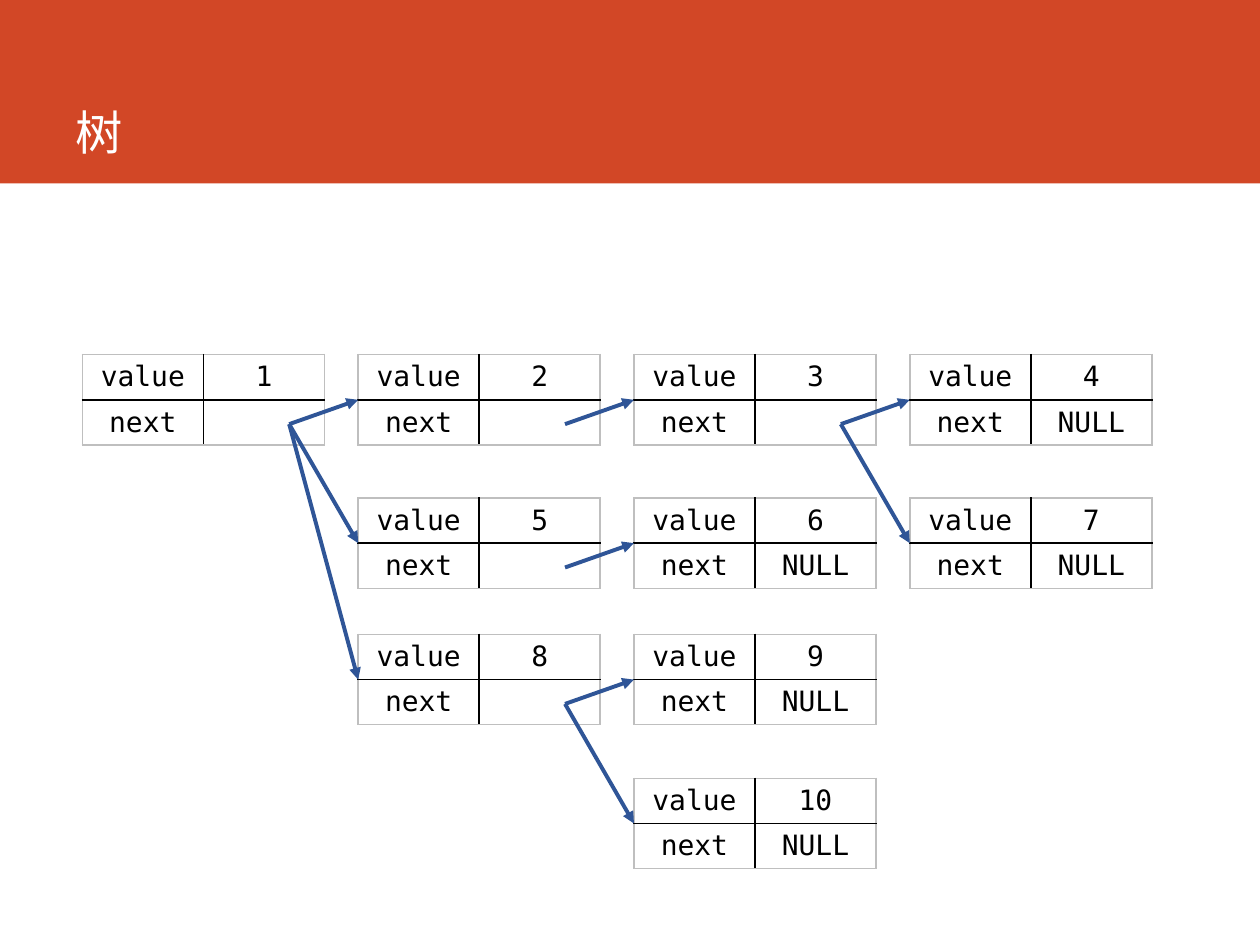
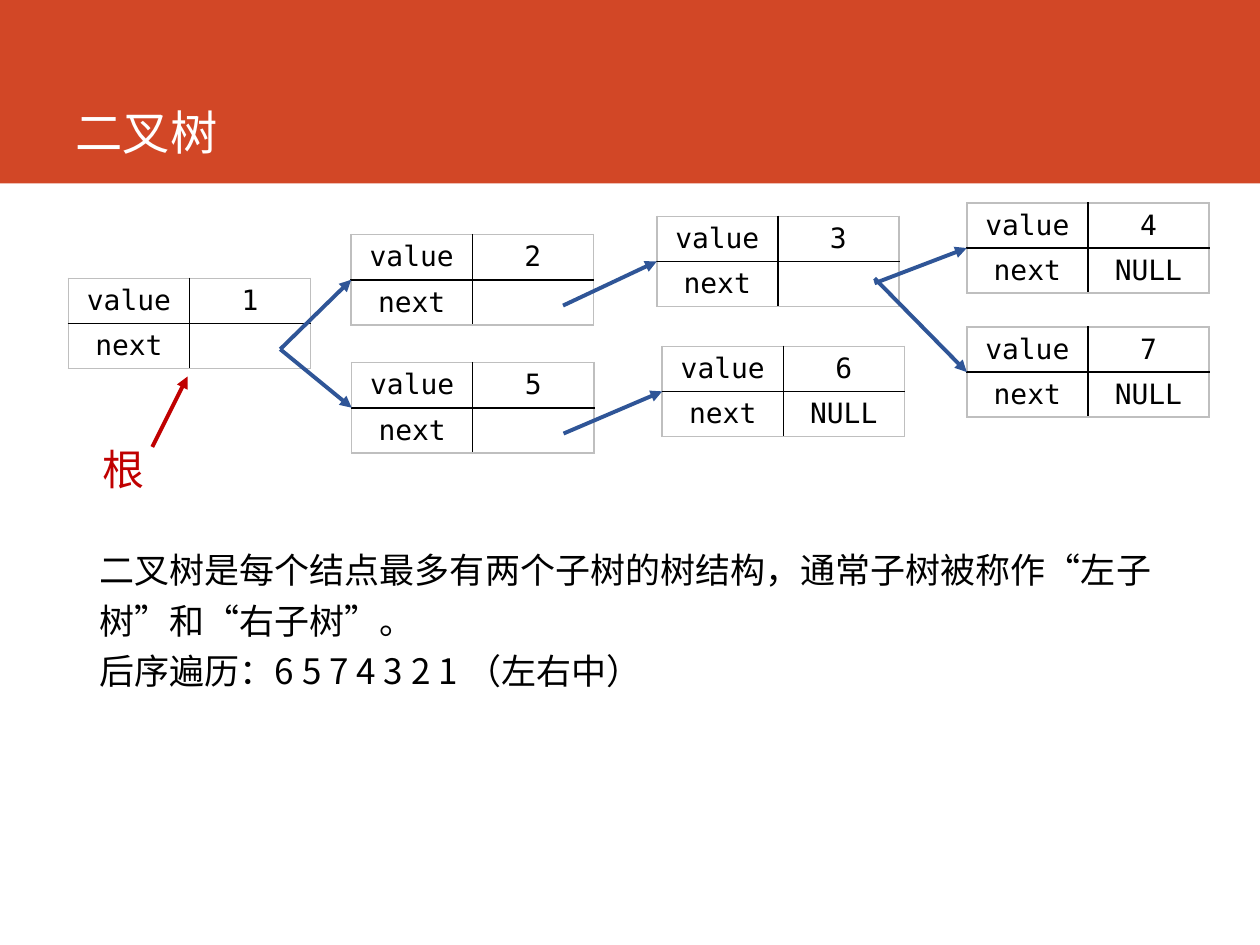
from lxml import etree
from pptx import Presentation
from pptx.dml.color import RGBColor
from pptx.enum.shapes import MSO_CONNECTOR, MSO_SHAPE
from pptx.enum.text import MSO_ANCHOR, MSO_AUTO_SIZE, PP_ALIGN
from pptx.oxml.ns import qn
from pptx.util import Cm, Pt

STRAIGHT, RECTANGLE = MSO_CONNECTOR.STRAIGHT, MSO_SHAPE.RECTANGLE
MIDDLE, BOTTOM, TOP = MSO_ANCHOR.MIDDLE, MSO_ANCHOR.BOTTOM, MSO_ANCHOR.TOP
LEFT, CENTER = PP_ALIGN.LEFT, PP_ALIGN.CENTER
NO_FIT = MSO_AUTO_SIZE.NONE

ORANGE, WHITE, BLACK = "D24726", "FFFFFF", "000000"
BLUE, RED, GREY = "2F5597", "C00000", "BFBFBF"
MONO, HAN, LABEL = "DejaVu Sans Mono", "Noto Sans CJK SC", "Karla"

PAGE_WIDTH, PAGE_HEIGHT = 25.4, 19.05
NODE_WIDTH, ROW_HEIGHT = 4.88, 0.91
COLUMN_X = [1.66 + 5.56 * column for column in range(4)]
ROW_Y = [7.15, 10.04, 12.79, 15.69]

TREE_CELLS = {
    1: (0, 0), 2: (1, 0), 3: (2, 0), 4: (3, 0), 5: (1, 1),
    6: (2, 1), 7: (3, 1), 8: (1, 2), 9: (2, 2), 10: (2, 3),
}
TREE_CHILDREN = {1: [2, 5, 8], 2: [3], 3: [4, 7], 5: [6], 8: [9, 10]}

BINARY_PLACES = {
    1: (1.38, 5.61), 2: (7.08, 4.73), 3: (13.24, 4.36), 4: (19.49, 4.09),
    5: (7.09, 7.31), 6: (13.35, 6.98), 7: (19.49, 6.59),
}
BINARY_CHILDREN = {1: [2, 5], 2: [3], 3: [4, 7], 5: [6]}
BINARY_TAILS = {(3, 4): (4.39, 1.35), (3, 7): (4.39, 1.25)}


def color(code):
    """Turn a hex string into a colour."""
    return RGBColor.from_string(code)


def style(para, size, font, code, align=LEFT):
    """Set the font and alignment of a paragraph."""
    para.alignment = align
    para.font.size = Pt(size)
    para.font.name = font
    para.font.color.rgb = color(code)


def use_han_font(shape):
    """Name the East Asian font beside each Latin one."""
    for latin in list(shape.element.iter(qn("a:latin"))):
        latin.addnext(etree.Element(qn("a:ea"), typeface=HAN))


def place(shape, left, top, width, height):
    """Move and size a shape, in centimetres."""
    shape.left, shape.top = Cm(left), Cm(top)
    shape.width, shape.height = Cm(width), Cm(height)


def add_header(page, text):
    """Draw the title band and fill the title placeholder on it."""
    band = page.shapes.add_shape(RECTANGLE, 0, 0, Cm(PAGE_WIDTH), Cm(3.7))
    band.shadow.inherit = False
    band.fill.solid()
    band.fill.fore_color.rgb = color(ORANGE)
    band.line.fill.background()
    page.shapes.element.insert(2, band.element)
    title = page.shapes.title
    place(title, 1.27, 0, 22.4, 3.35)
    frame = title.text_frame
    frame.text = text
    frame.auto_size = NO_FIT
    frame.vertical_anchor = BOTTOM
    style(frame.paragraphs[0], 27, HAN, WHITE)
    use_han_font(title)


def set_borders(frame):
    """Draw black lines inside a two by two table and grey ones around it."""
    for index, cell in enumerate(frame.element.iter(qn("a:tc"))):
        row, column = divmod(index, 2)
        inner = {"lnL": column == 1, "lnR": column == 0,
                 "lnT": row == 1, "lnB": row == 0}
        for order, (side, is_inner) in enumerate(inner.items()):
            line = etree.Element(qn(f"a:{side}"), w=str(Pt(1)))
            fill = etree.SubElement(line, qn("a:solidFill"))
            etree.SubElement(fill, qn("a:srgbClr"), val=BLACK if is_inner else GREY)
            cell.get_or_add_tcPr().insert(order, line)


def add_node(page, left, top, value, target):
    """Draw one node as a table of value and next."""
    frame = page.shapes.add_table(2, 2, Cm(left), Cm(top), Cm(NODE_WIDTH), Cm(2 * ROW_HEIGHT))
    table = frame.table
    table.first_row = table.horz_banding = False
    for row, texts in enumerate([("value", str(value)), ("next", target)]):
        for column, text in enumerate(texts):
            cell = table.cell(row, column)
            cell.text = text
            cell.fill.background()
            cell.vertical_anchor = MIDDLE
            cell.margin_top = cell.margin_bottom = 0
            style(cell.text_frame.paragraphs[0], 16, MONO, BLACK, CENTER)
    set_borders(frame)


def add_arrow(page, start, end, code):
    """Draw a straight arrow between two points."""
    arrow = page.shapes.add_connector(STRAIGHT, *map(Cm, start + end))
    arrow.line.width = Pt(2.25)
    arrow.line.color.rgb = color(code)
    properties = arrow.element.spPr
    etree.SubElement(properties.find(qn("a:ln")), qn("a:tailEnd"), type="triangle")
    etree.SubElement(properties, qn("a:effectLst"))


def add_tree(page, places, children, tail, special_tails):
    """Draw all nodes and the arrows from parents to children."""
    for value, (left, top) in places.items():
        add_node(page, left, top, value, "" if value in children else "NULL")
    for parent, values in children.items():
        for child in values:
            right, down = special_tails.get((parent, child), tail)
            left, top = places[parent]
            child_left, child_top = places[child]
            add_arrow(page, (left + right, top + down),
                      (child_left, child_top + ROW_HEIGHT), BLUE)


def add_root_label(page, left, top):
    """Mark the root with a red label and arrow."""
    box = page.shapes.add_textbox(Cm(left), Cm(top), Cm(2.24), Cm(1.27))
    box.text_frame.word_wrap = True
    box.text_frame.text = "根"
    style(box.text_frame.paragraphs[0], 24, LABEL, RED)
    use_han_font(box)
    add_arrow(page, (left + 1.25, top + 0.2), (left + 1.96, top - 1.22), RED)


def add_body(page, texts):
    """Fill the body placeholder with plain paragraphs."""
    body = page.placeholders[1]
    place(body, 1.75, 10.77, 22.4, 7.16)
    frame = body.text_frame
    frame.text = "\n".join(texts)
    frame.auto_size = NO_FIT
    frame.vertical_anchor = TOP
    for para in frame.paragraphs:
        style(para, 20, HAN, BLACK)
        para.space_before = Pt(0)
        para.line_spacing = 1.2
    for props in body.element.iter(qn("a:pPr")):
        props.set("marL", "0")
        props.set("indent", "0")
        props.find(qn("a:defRPr")).addprevious(etree.Element(qn("a:buNone")))
    use_han_font(body)


def build_tree_page(page):
    """Build the page of the general tree."""
    add_header(page, "树")
    places = {value: (COLUMN_X[column], ROW_Y[row])
              for value, (column, row) in TREE_CELLS.items()}
    add_tree(page, places, TREE_CHILDREN, (4.17, 1.4), {})


def build_binary_page(page):
    """Build the page of the binary tree."""
    add_header(page, "二叉树")
    add_tree(page, BINARY_PLACES, BINARY_CHILDREN, (4.27, 1.43), BINARY_TAILS)
    add_root_label(page, 1.82, 8.81)
    add_body(page, [
        "二叉树是每个结点最多有两个子树的树结构，通常子树被称作“左子树”和“右子树”。",
        "后序遍历：6 5 7 4 3 2 1 （左右中）",
    ])


def main():
    """Build and save the deck."""
    deck = Presentation()
    deck.slide_width, deck.slide_height = Cm(PAGE_WIDTH), Cm(PAGE_HEIGHT)
    build_tree_page(deck.slides.add_slide(deck.slide_layouts[5]))
    build_binary_page(deck.slides.add_slide(deck.slide_layouts[1]))
    deck.save("out.pptx")


if __name__ == "__main__":
    main()
